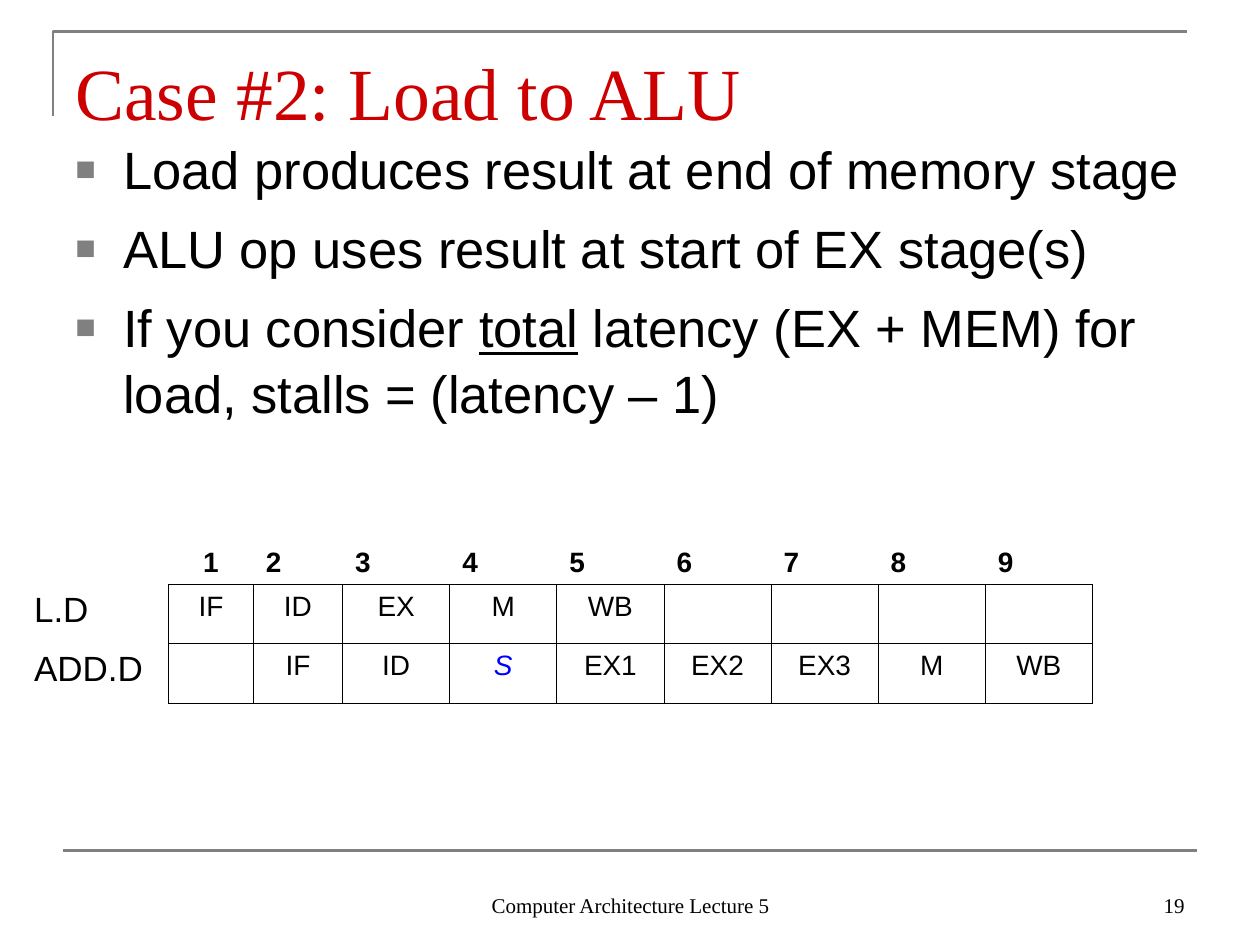
from typing import NamedTuple

from lxml.etree import SubElement
from pptx import Presentation
from pptx.dml.color import RGBColor
from pptx.enum.shapes import MSO_CONNECTOR
from pptx.enum.text import MSO_ANCHOR, PP_ALIGN
from pptx.oxml.ns import qn
from pptx.util import Inches, Pt

COLORS = {"rule": "808080", "title": "CC0000", "text": "000000",
          "stall": "0000FF", "hidden": "FFFFFF"}
SERIF, SANS = "Times New Roman", "Arial"
WIDTH, HEIGHT = 10, 7.5

BULLETS = [
    ["Load produces result at end of memory stage"],
    ["ALU op uses result at start of EX stage(s)"],
    ["If you consider ", "total",
     " latency (EX + MEM) for load, stalls = (latency – 1)"],
]
UNDERLINED = "total"

CYCLES = 9
PIPELINE = [
    ["", *(str(cycle) for cycle in range(1, CYCLES + 1))],
    ["L.D", "IF", "ID", "EX", "M", "WB", "", "", "", ""],
    ["ADD.D", "", "IF", "ID", "S", "EX1", "EX2", "EX3", "M", "WB"],
]
STALL = "S"
COLUMN_WIDTHS = [1.17, 0.67, 0.71] + [0.85] * 7
ROW_HEIGHT = 0.47


class Label(NamedTuple):
    """A line of serif text; left, top, width and height are shares of the slide."""
    text: str
    left: float
    top: float
    width: float
    height: float
    size: float
    color: str
    align: PP_ALIGN
    bottom_inset: float = 0.05


LABELS = [
    Label("Case #2: Load to ALU", 0.05, 0.04, 0.9, 0.104, 42, "title",
          PP_ALIGN.LEFT, 0.01),
    Label("Computer Architecture Lecture 5", 0.342, 0.911, 0.317, 0.067, 12,
          "text", PP_ALIGN.CENTER),
    Label("19", 0.717, 0.911, 0.233, 0.067, 12, "text", PP_ALIGN.RIGHT),
]


def rgb(color: str) -> RGBColor:
    return RGBColor.from_string(COLORS[color])


def style(font, face: str, size: float, color: str) -> None:
    font.name, font.size = face, Pt(size)
    font.color.rgb = rgb(color)


def add_frame(slide, left: float, top: float, width: float, height: float):
    """Add a wrapping text box placed by shares of the slide."""
    box = slide.shapes.add_textbox(
        Inches(left * WIDTH), Inches(top * HEIGHT),
        Inches(width * WIDTH), Inches(height * HEIGHT))
    box.text_frame.word_wrap = True
    return box.text_frame


def add_label(slide, label: Label) -> None:
    frame = add_frame(slide, label.left, label.top, label.width, label.height)
    frame.vertical_anchor = MSO_ANCHOR.BOTTOM
    frame.margin_bottom = Inches(label.bottom_inset)
    frame.text = label.text
    paragraph = frame.paragraphs[0]
    paragraph.alignment = label.align
    style(paragraph.runs[0].font, SERIF, label.size, label.color)


def add_rules(slide) -> None:
    """Draw the corner bracket above the title and the line above the footer."""
    builder = slide.shapes.build_freeform(Inches(0.42), Inches(0.92))
    builder.add_line_segments(
        [(Inches(0.42), Inches(0.25)), (Inches(9.42), Inches(0.25))], close=False)
    bracket = builder.convert_to_shape()
    bracket.fill.background()
    bracket.shadow.inherit = False
    footer_rule = slide.shapes.add_connector(
        MSO_CONNECTOR.STRAIGHT, Inches(0.5), Inches(6.75), Inches(9.5), Inches(6.75))
    SubElement(footer_rule._element.spPr, qn("a:effectLst"))
    for rule in (bracket, footer_rule):
        rule.line.color.rgb = rgb("rule")
        rule.line.width = Pt(1.5)


def add_bullet_mark(paragraph) -> None:
    properties = paragraph._p.get_or_add_pPr()
    properties.set("marL", str(Inches(0.38)))
    properties.set("indent", str(Inches(-0.38)))
    mark_color = SubElement(properties, qn("a:buClr"))
    SubElement(mark_color, qn("a:srgbClr"), val=COLORS["rule"])
    SubElement(properties, qn("a:buSzPct"), val="65000")
    SubElement(properties, qn("a:buFont"), typeface=SANS)
    SubElement(properties, qn("a:buChar"), char="■")


def add_bullets(slide) -> None:
    frame = add_frame(slide, 0.05, 1 / HEIGHT, 0.9, 3.25 / HEIGHT)
    frame.margin_top = Inches(0.06)
    for index, pieces in enumerate(BULLETS):
        paragraph = frame.add_paragraph() if index else frame.paragraphs[0]
        add_bullet_mark(paragraph)
        paragraph.line_spacing = 1.05
        if index:
            paragraph.space_before = Pt(7.5)
        for piece in pieces:
            run = paragraph.add_run()
            run.text = piece
            style(run.font, SANS, 30, "text")
            if piece == UNDERLINED:
                run.font.underline = True


def set_borders(cell, row: int, column: int) -> None:
    """Black around pipeline stages, white around the header and the row names."""
    in_grid = row > 0 and column > 0
    black_sides = {
        "L": in_grid,
        "R": in_grid or (row > 0 and column == 0),
        "T": in_grid,
        "B": in_grid or (row == 0 and column > 0),
    }
    properties = cell._tc.get_or_add_tcPr()
    for position, (side, black) in enumerate(black_sides.items()):
        border = properties.makeelement(qn(f"a:ln{side}"), {"w": str(Pt(0.45))})
        fill = SubElement(border, qn("a:solidFill"))
        SubElement(fill, qn("a:srgbClr"), val=COLORS["text" if black else "hidden"])
        properties.insert(position, border)


def fill_cell(cell, text: str, row: int, column: int) -> None:
    cell.fill.background()
    set_borders(cell, row, column)
    if row == 0:
        cell.vertical_anchor = MSO_ANCHOR.BOTTOM
    if not text:
        return
    cell.text_frame.text = text
    paragraph = cell.text_frame.paragraphs[0]
    centred = column == 1 or (row > 0 and column > 0)
    paragraph.alignment = PP_ALIGN.CENTER if centred else PP_ALIGN.LEFT
    font = paragraph.runs[0].font
    stalled = text == STALL
    style(font, SANS, 16 if column else 20, "stall" if stalled else "text")
    font.bold = row == 0
    font.italic = stalled


def add_pipeline(slide) -> None:
    table = slide.shapes.add_table(
        len(PIPELINE), len(COLUMN_WIDTHS), Inches(0.17), Inches(4.17),
        Inches(sum(COLUMN_WIDTHS)), Inches(ROW_HEIGHT * len(PIPELINE))).table
    table.first_row = table.horz_banding = False
    for column, width in zip(table.columns, COLUMN_WIDTHS):
        column.width = Inches(width)
    for row, texts in enumerate(PIPELINE):
        table.rows[row].height = Inches(ROW_HEIGHT)
        for column, text in enumerate(texts):
            fill_cell(table.cell(row, column), text, row, column)


def main() -> None:
    presentation = Presentation()
    presentation.slide_width = Inches(WIDTH)
    presentation.slide_height = Inches(HEIGHT)
    slide = presentation.slides.add_slide(presentation.slide_layouts[6])
    add_rules(slide)
    for label in LABELS:
        add_label(slide, label)
    add_bullets(slide)
    add_pipeline(slide)
    presentation.save("out.pptx")


if __name__ == "__main__":
    main()
